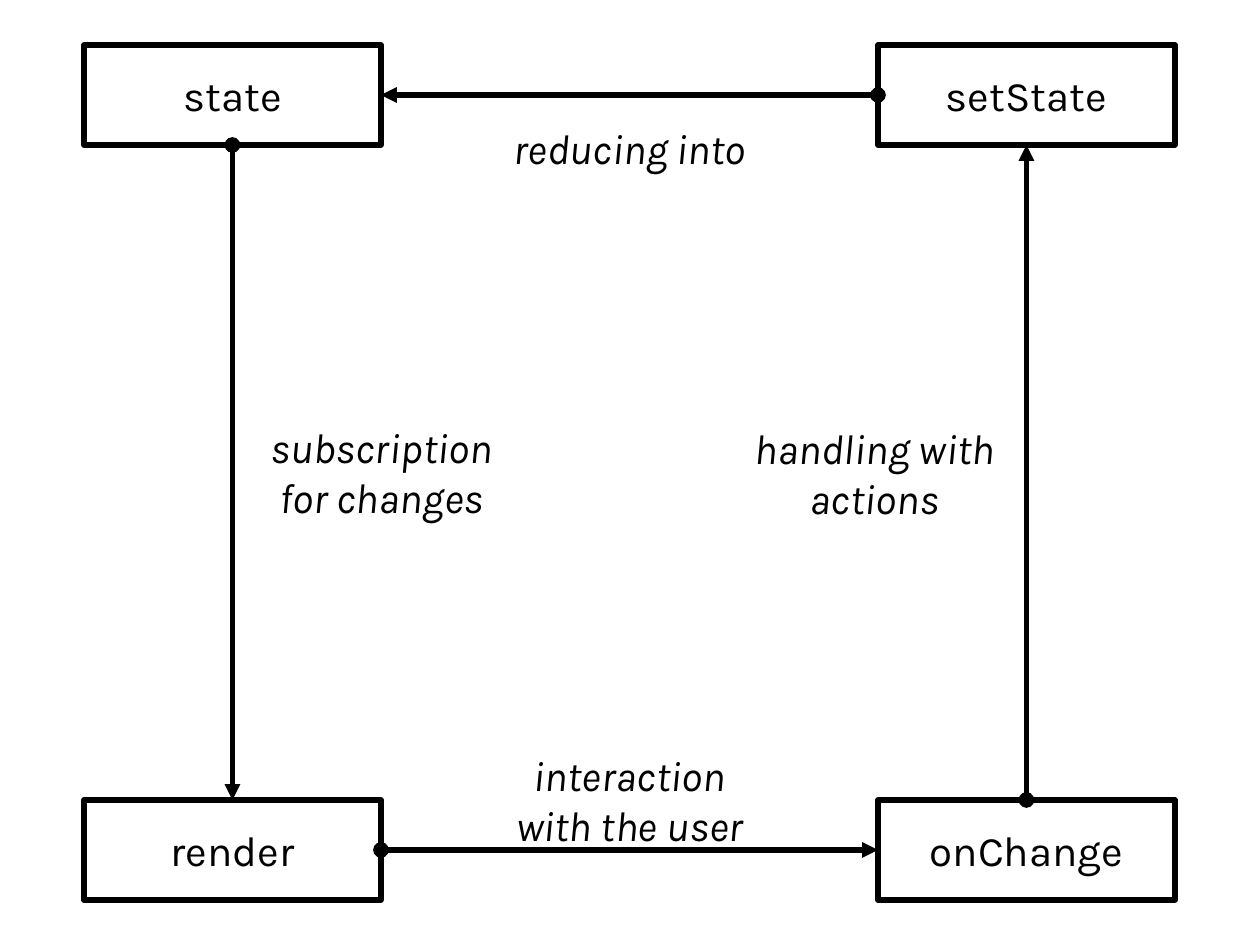
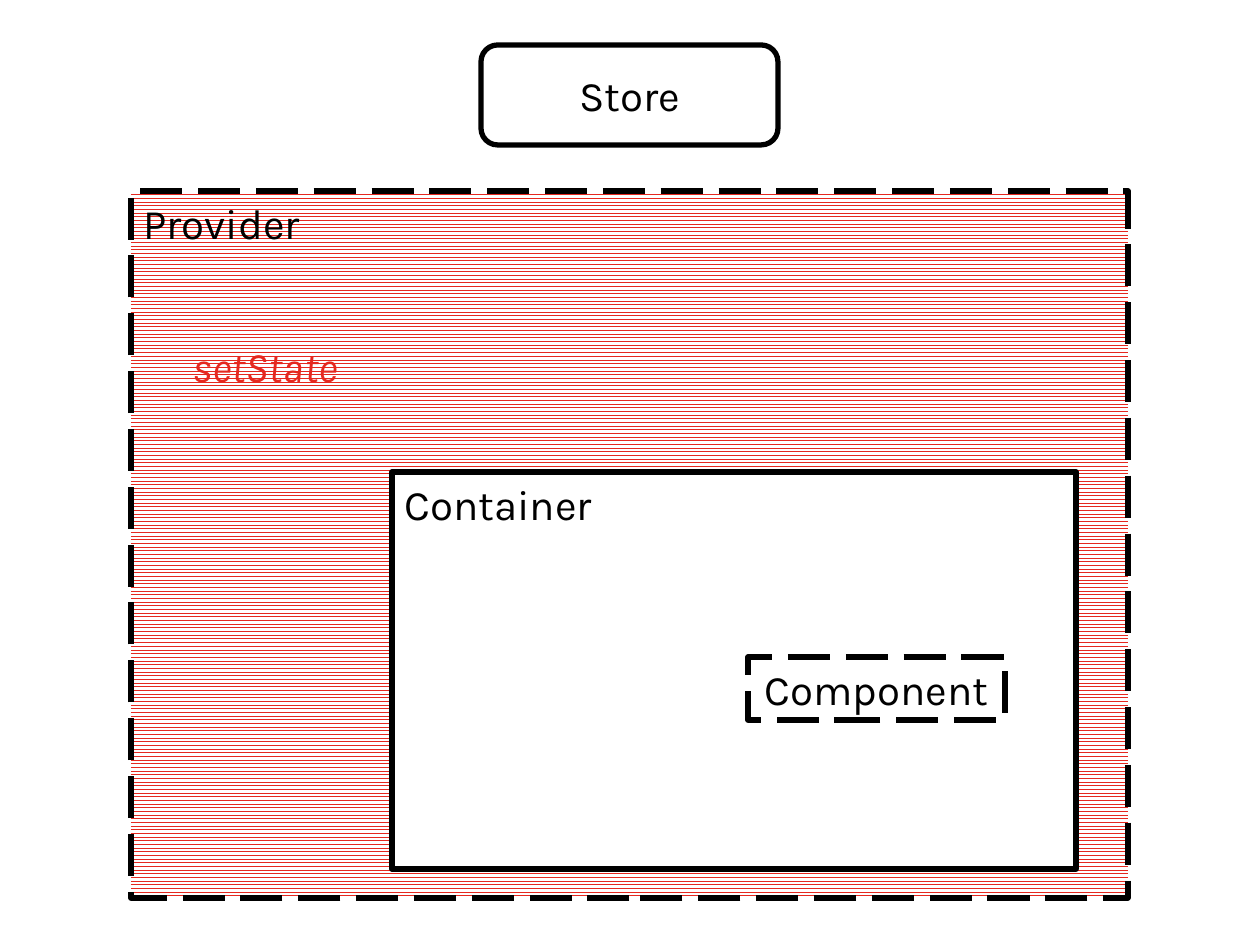
from lxml.etree import SubElement
from pptx import Presentation
from pptx.dml.color import RGBColor
from pptx.enum.dml import MSO_LINE, MSO_PATTERN
from pptx.enum.shapes import MSO_CONNECTOR, MSO_SHAPE
from pptx.enum.text import MSO_ANCHOR, PP_ALIGN
from pptx.oxml.ns import qn
from pptx.util import Inches, Pt

INK = {"black": "000000", "white": "FFFFFF", "red": "E5281F"}
FONT, SIZE, STROKE = "Karla", 24, 3
SCALE = 914400 / 126
TOP, LEFT, BASE, RIGHT = range(4)
WIDE, HIGH = 297, 100


def ink(name):
    return RGBColor.from_string(INK[name])


def span(*marks):
    return [round(mark * SCALE) for mark in marks]


class Deck:
    def __init__(self):
        self.file = Presentation()
        self.file.slide_width = Inches(10)
        self.file.slide_height = Inches(7.5)

    def page(self):
        self.slide = self.file.slides.add_slide(self.file.slide_layouts[6])
        fill = self.slide.background.fill
        fill.solid()
        fill.fore_color.rgb = ink("white")

    def letter(self, shape, text, color="black", slant=False,
               align=PP_ALIGN.CENTER, anchor=MSO_ANCHOR.MIDDLE):
        frame = shape.text_frame
        frame.text = text
        frame.word_wrap = True
        frame.vertical_anchor = anchor
        line = frame.paragraphs[0]
        line.alignment = align
        font = line.runs[0].font
        font.name, font.size = FONT, Pt(SIZE)
        font.italic = slant
        font.color.rgb = ink(color)

    def box(self, text, x, y, w=WIDE, h=HIGH, kind=MSO_SHAPE.RECTANGLE,
            fill="white", dash=False, **style):
        shape = self.slide.shapes.add_shape(kind, *span(x, y, w, h))
        shape.shadow.inherit = False
        if fill == "zigzag":
            shape.fill.patterned()
            shape.fill.pattern = MSO_PATTERN.ZIG_ZAG
            shape.fill.fore_color.rgb = ink("red")
            shape.fill.back_color.rgb = ink("white")
        elif fill:
            shape.fill.solid()
            shape.fill.fore_color.rgb = ink(fill)
        else:
            shape.fill.background()
        shape.line.color.rgb = ink("black")
        shape.line.width = Pt(STROKE)
        if dash:
            shape.line.dash_style = MSO_LINE.LONG_DASH
        self.letter(shape, text, **style)
        return shape

    def label(self, text, x, y, w=WIDE, h=HIGH, color="black"):
        shape = self.slide.shapes.add_textbox(*span(x, y, w, h))
        self.letter(shape, text, color, slant=True)

    def arrow(self, start, out, end, into):
        line = self.slide.shapes.add_connector(MSO_CONNECTOR.STRAIGHT, 0, 0, 0, 0)
        line.begin_connect(start, out)
        line.end_connect(end, into)
        line.line.color.rgb = ink("black")
        line.line.width = Pt(STROKE)
        props = line.element.spPr
        stroke = props.find(qn("a:ln"))
        for tag, tip in (("a:headEnd", "oval"), ("a:tailEnd", "triangle")):
            SubElement(stroke, qn(tag)).set("type", tip)
        SubElement(props, qn("a:effectLst"))


deck = Deck()

deck.page()
west, east, north, south = 84, 878, 45, 800
state = deck.box("state", west, north)
render = deck.box("render", west, south)
change = deck.box("onChange", east, south)
setter = deck.box("setState", east, north)
for text, x, y in (
    ("interaction with the user", 481, 750),
    ("handling with actions", 726, 423),
    ("reducing into", 481, 98),
    ("subscription for changes", 233, 422),
):
    deck.label(text, x, y)
for link in (
    (render, RIGHT, change, LEFT),
    (setter, LEFT, state, RIGHT),
    (change, TOP, setter, BASE),
    (state, BASE, render, TOP),
):
    deck.arrow(*link)

deck.page()
corner = {"align": PP_ALIGN.LEFT, "anchor": MSO_ANCHOR.TOP}
deck.box("Provider", 131, 191, 997, 707, fill="zigzag", dash=True, **corner)
deck.box("Container", 392, 472, 684, 397, **corner)
deck.label("setState", 166, 334, 198, 63, color="red")
deck.box("Store", 481, north, kind=MSO_SHAPE.ROUNDED_RECTANGLE)
deck.box("Component", 748, 657, 257, 63, fill=None, dash=True,
         anchor=MSO_ANCHOR.TOP)

deck.file.save("out.pptx")
